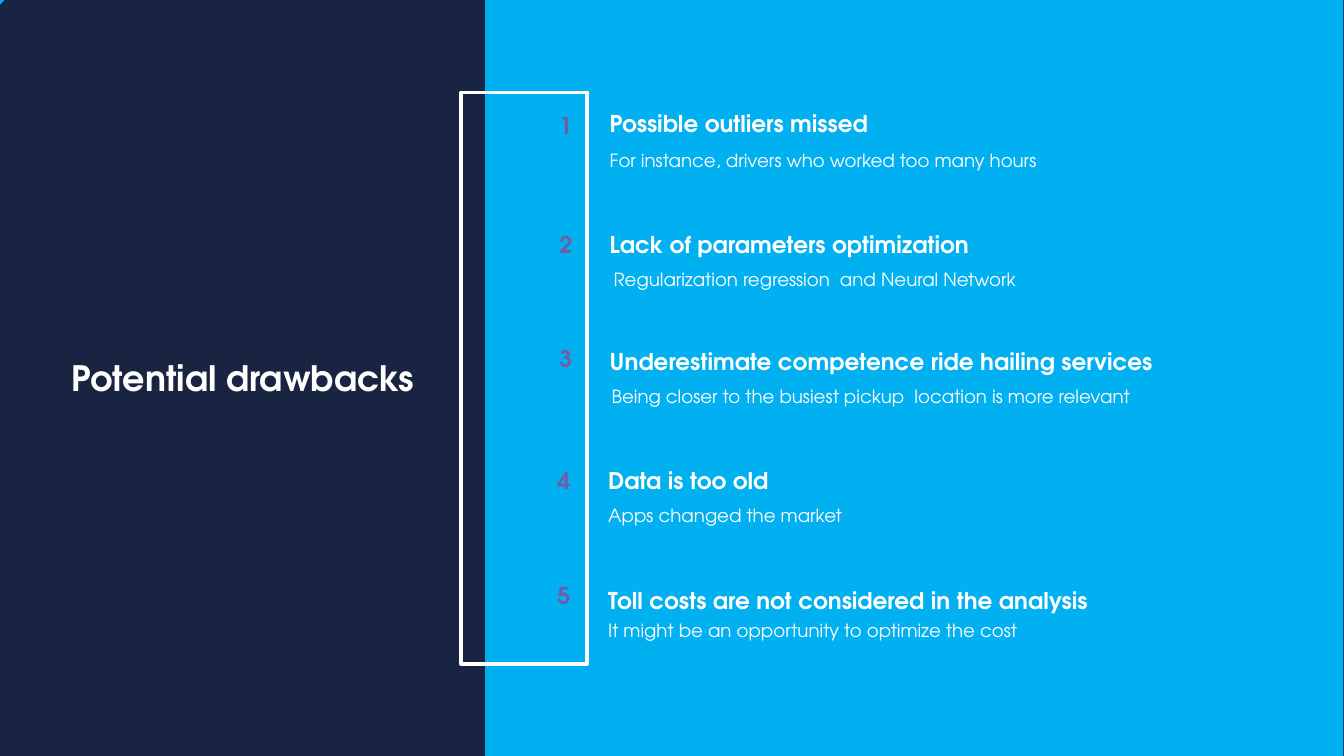
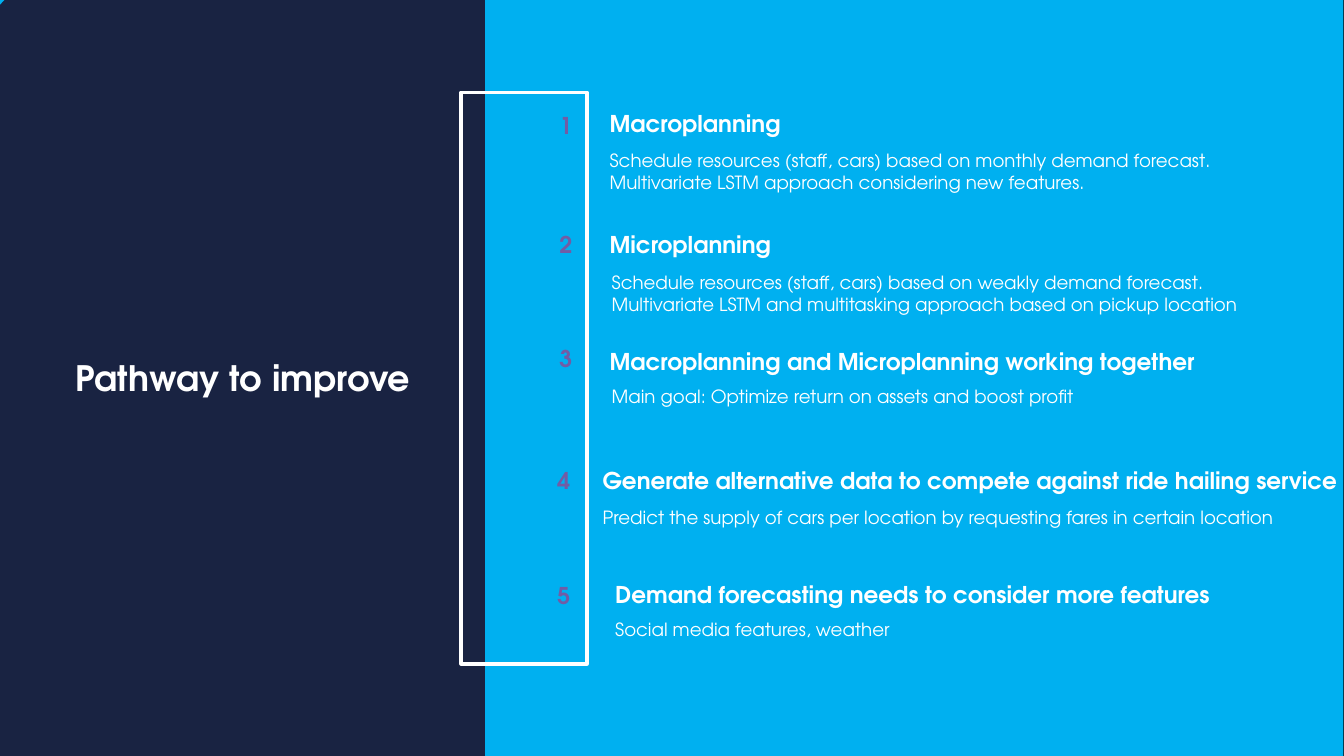
from pptx import Presentation
from pptx.dml.color import RGBColor
from pptx.enum.shapes import MSO_SHAPE
from pptx.enum.text import MSO_AUTO_SIZE, PP_ALIGN
from pptx.util import Inches, Pt

FONT = "TeX Gyre Adventor"
BLACK = RGBColor(0x00, 0x00, 0x00)
WHITE = RGBColor(0xFF, 0xFF, 0xFF)
SKY = RGBColor(0x00, 0xB0, 0xF0)
NAVY = RGBColor(0x19, 0x23, 0x42)
PURPLE = RGBColor(0x72, 0x5C, 0xA5)

TITLE_SIZE, HEADING_SIZE, DETAIL_SIZE = 50, 33, 26
TITLE_HEIGHT, HEADING_HEIGHT = 0.94, 0.66
DETAIL_HEIGHT, DETAIL_LINE = 0.54, 0.44

# Left and top of each number in the frame
NUMBER_PLACES = [(11, 2.16), (11, 4.53), (11, 6.79), (10.96, 9.2), (10.96, 11.48)]

# Each item: heading (text, left, top, width), detail (text, left, top, width, lines)
SLIDES = [
    ("Potential drawbacks", [
        (("Possible outliers missed", 12, 2.13, 5.38),
         ("For instance, drivers who worked too many hours", 12, 2.92, 10.63, 1)),
        (("Lack of parameters optimization", 12, 4.53, 7.4),
         ("Regularization regression  and Neural Network", 12.08, 5.28, 9.48, 1)),
        (("Underestimate competence ride hailing services", 12, 6.85, 12.63),
         ("Being closer to the busiest pickup  location is more relevant",
          12.04, 7.6, 12.59, 1)),
        (("Data is too old", 11.97, 9.2, 3.42),
         ("Apps changed the market", 11.97, 9.95, 11.14, 1)),
        (("Toll costs are not considered in the analysis", 11.97, 11.59, 12.56),
         ("It might be an opportunity to optimize the cost", 11.97, 12.24, 11.14, 1)),
    ]),
    ("Pathway to improve", [
        (("Macroplanning", 12, 2.13, 3.63),
         ("Schedule resources (staff, cars) based on monthly demand forecast. "
          "Multivariate LSTM approach considering new features.", 12, 2.92, 12.73, 2)),
        (("Microplanning", 12, 4.53, 3.57),
         ("Schedule resources (staff, cars) based on weakly demand forecast. "
          "Multivariate LSTM and multitasking approach based on pickup location",
          12.04, 5.33, 13.04, 2)),
        (("Macroplanning and Microplanning working together", 12, 6.85, 11.94),
         ("Main goal: Optimize return on assets and boost profit", 12.04, 7.6, 11.18, 1)),
        (("Generate alternative data to compete against ride hailing service",
          11.86, 9.2, 14.93),
         ("Predict the supply of cars per location by requesting fares in certain location",
          11.86, 10, 14.14, 1)),
        (("Demand forecasting needs to consider more features", 12.11, 11.47, 12.14),
         ("Social media features, weather", 12.11, 12.22, 11.14, 1)),
    ]),
]


def add_text(slide, text, left, top, width, height, size, color=WHITE, bold=True,
             align=PP_ALIGN.LEFT):
    # A little spare width keeps tightly fitted headings on one line
    box = slide.shapes.add_textbox(Inches(left), Inches(top), Inches(width + 0.05),
                                   Inches(height))
    frame = box.text_frame
    frame.word_wrap = True
    frame.auto_size = MSO_AUTO_SIZE.SHAPE_TO_FIT_TEXT
    paragraph = frame.paragraphs[0]
    paragraph.text = text
    paragraph.alignment = align
    paragraph.font.name = FONT
    paragraph.font.size = Pt(size)
    paragraph.font.bold = bold
    paragraph.font.color.rgb = color


def add_backdrop(slide):
    """Draw the blue field, the navy title panel and the white number frame."""
    slide.background.fill.solid()
    slide.background.fill.fore_color.rgb = BLACK

    field = slide.shapes.add_shape(MSO_SHAPE.RECTANGLE, 0, 0, Inches(26.66), Inches(15))
    outline = slide.shapes.build_freeform(9, 0, scale=Inches(0.01))
    outline.add_line_segments([(962, 0), (962, 1500), (-1362, 1500)])
    panel = outline.convert_to_shape()
    for shape, color in ((field, SKY), (panel, NAVY)):
        shape.shadow.inherit = False
        shape.fill.solid()
        shape.fill.fore_color.rgb = color
        shape.line.fill.background()

    frame = slide.shapes.add_shape(MSO_SHAPE.RECTANGLE, Inches(4.73), Inches(6.25),
                                   Inches(11.34), Inches(2.5))
    frame.rotation = 270
    frame.shadow.inherit = False
    frame.fill.background()
    frame.line.color.rgb = WHITE
    frame.line.width = Pt(5)


presentation = Presentation()
presentation.slide_width = Inches(26.67)
presentation.slide_height = Inches(15)

for title, items in SLIDES:
    slide = presentation.slides.add_slide(presentation.slide_layouts[6])
    add_backdrop(slide)
    add_text(slide, title, 0, 7.02, 9.59, TITLE_HEIGHT, TITLE_SIZE, align=PP_ALIGN.CENTER)
    for number, (place, (heading, detail)) in enumerate(zip(NUMBER_PLACES, items), 1):
        add_text(slide, str(number), *place, 0.46, HEADING_HEIGHT, HEADING_SIZE, PURPLE)
        add_text(slide, *heading, HEADING_HEIGHT, HEADING_SIZE)
        *detail_place, lines = detail
        add_text(slide, *detail_place, DETAIL_HEIGHT + (lines - 1) * DETAIL_LINE,
                 DETAIL_SIZE, bold=False)

presentation.save("out.pptx")
